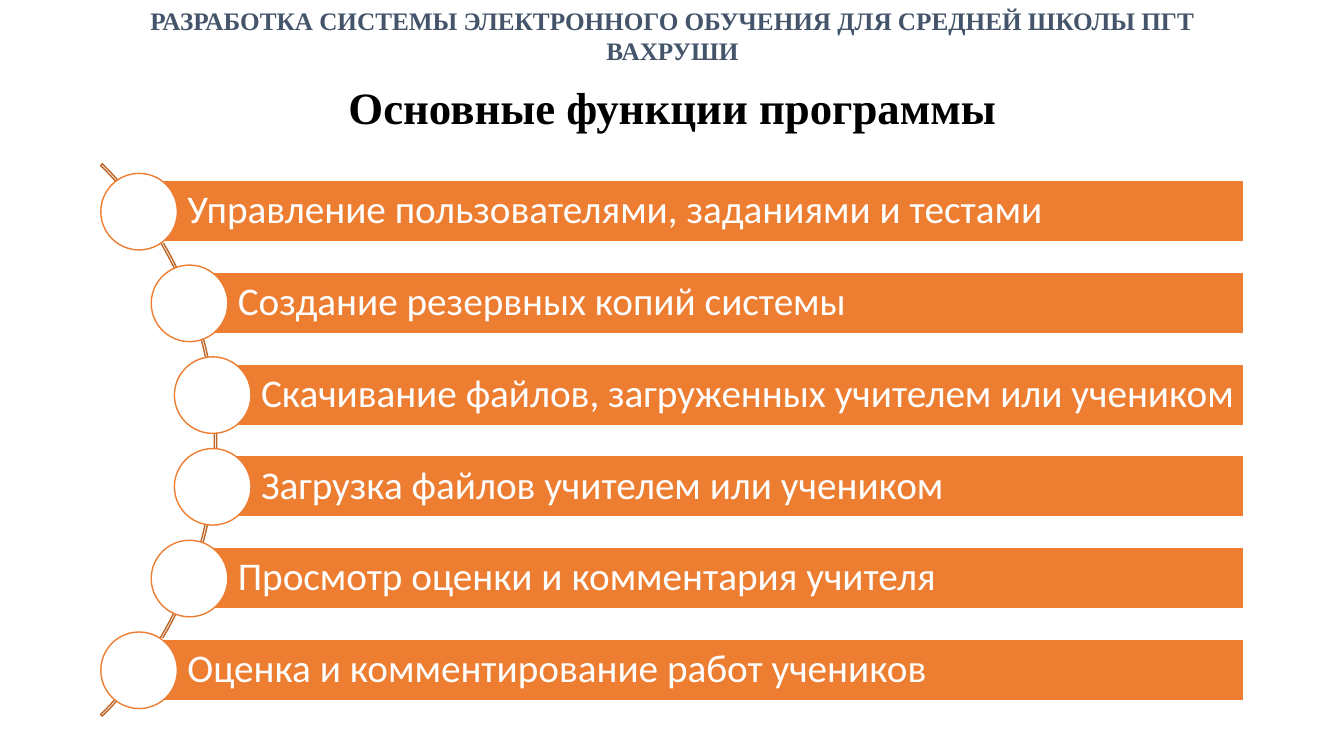
from pptx import Presentation
from pptx import util as u
from pptx.dml.color import RGBColor
from pptx.enum import shapes, text

PX = 9144  # 100 px to the inch
COLORS = {
    "title": "000000",
    "header": "44546A",
    "bar": "ED7D31",
    "arc": "BE6427",
    "white": "FFFFFF",
}
FUNCTIONS = [
    (138, "Управление пользователями, заданиями и тестами"),
    (188, "Создание резервных копий системы"),
    (211, "Скачивание файлов, загруженных учителем или учеником"),
    (211, "Загрузка файлов учителем или учеником"),
    (188, "Просмотр оценки и комментария учителя"),
    (138, "Оценка и комментирование работ учеников"),
]
BAR_TOP, BAR_STEP, BAR_HEIGHT, BAR_RIGHT = 179, 91, 61, 1234
CIRCLE = 76


def add_outlined(kind, left, top, width, height, fill, line):
    shape = page.shapes.add_shape(kind, *(n * PX for n in (left, top, width, height)))
    shape.shadow.inherit = False
    if fill:
        shape.fill.solid()
        shape.fill.fore_color.rgb = RGBColor.from_string(COLORS[fill])
    else:
        shape.fill.background()
    shape.line.color.rgb = RGBColor.from_string(COLORS[line])
    shape.line.width = u.Pt(1)
    return shape


def write(frame, words, font, size, color, bold, align):
    frame.word_wrap = True
    para = frame.paragraphs[0]
    para.text = words
    para.alignment = align
    para.font.name = font
    para.font.size = u.Pt(size)
    para.font.bold = bold
    para.font.color.rgb = RGBColor.from_string(COLORS[color])
    return para


deck = Presentation()
deck.slide_width, deck.slide_height = 1333 * PX, 750 * PX
page = deck.slides.add_slide(deck.slide_layouts[5])

# Title
title = page.shapes.title
title.left, title.top, title.width, title.height = (n * PX for n in (92, 74, 1150, 71))
title.text_frame.vertical_anchor = text.MSO_ANCHOR.MIDDLE
para = write(title.text_frame, "Основные функции программы",
             "Times New Roman", 32, "title", True, text.PP_ALIGN.CENTER)
para.line_spacing = 0.9

# Project name above the title
header = page.shapes.add_textbox(92 * PX, 0, 1150 * PX, 71 * PX)
write(header.text_frame,
      "РАЗРАБОТКА СИСТЕМЫ ЭЛЕКТРОННОГО ОБУЧЕНИЯ ДЛЯ СРЕДНЕЙ ШКОЛЫ ПГТ ВАХРУШИ",
      "Times New Roman", 18, "header", True, text.PP_ALIGN.CENTER)

# Arc behind the circles, from 315 to 45 degrees
arc = add_outlined(shapes.MSO_SHAPE.BLOCK_ARC, -560, 49, 775, 775, None, "arc")
for index, value in enumerate((189, 27, 0.003)):
    arc.adjustments[index] = value

# Bars with their circles
for row, (left, words) in enumerate(FUNCTIONS):
    top = BAR_TOP + row * BAR_STEP
    bar = add_outlined(shapes.MSO_SHAPE.RECTANGLE, left, top,
                       BAR_RIGHT - left, BAR_HEIGHT, "bar", "white")
    frame = bar.text_frame
    frame.margin_left = 48 * PX
    frame.margin_top = frame.margin_right = frame.margin_bottom = 7 * PX
    frame.vertical_anchor = text.MSO_ANCHOR.MIDDLE
    para = write(frame, words, "Calibri", 28, "white", False, text.PP_ALIGN.LEFT)
    para.line_spacing = 0.9
    add_outlined(shapes.MSO_SHAPE.OVAL, left - CIRCLE // 2,
                 top - (CIRCLE - BAR_HEIGHT) // 2, CIRCLE, CIRCLE, "white", "bar")

deck.save("out.pptx")
